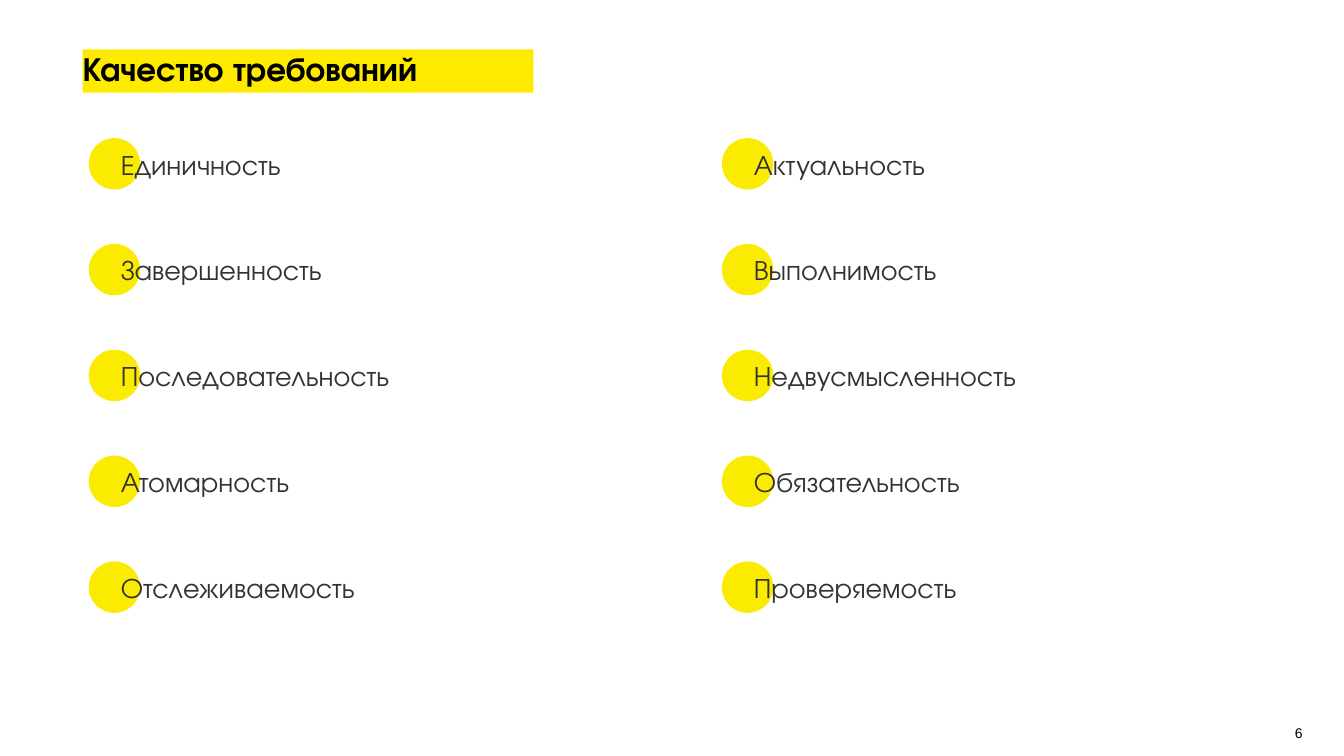
from dataclasses import dataclass

from pptx import Presentation
from pptx.dml.color import RGBColor
from pptx.enum.shapes import MSO_SHAPE
from pptx.enum.text import PP_ALIGN
from pptx.util import Inches, Pt


@dataclass(frozen=True)
class Theme:
    heading_font: str = "TeX Gyre Adventor"
    number_font: str = "Arial"
    title_size: int = 24
    quality_size: int = 20
    number_size: int = 10
    band: str = "FFEB00"
    dot: str = "FAEB00"
    title_color: str = "000000"
    quality_color: str = "333333"


@dataclass(frozen=True)
class Grid:
    left: float = 0.88
    top: float = 1.37
    column_step: float = 6.28
    row_step: float = 1.05

    def cell(self, column: int, row: int) -> tuple[float, float]:
        return self.left + column * self.column_step, self.top + row * self.row_step


@dataclass(frozen=True)
class Area:
    left: float
    top: float
    width: float
    height: float

    def lengths(self) -> tuple:
        return tuple(Inches(value) for value in (self.left, self.top, self.width, self.height))


@dataclass(frozen=True)
class Quality:
    name: str
    column: int
    row: int


THEME = Theme()
GRID = Grid()
DOT_SIZE = 0.51
COLUMNS = (
    ("Единичность", "Завершенность", "Последовательность", "Атомарность", "Отслеживаемость"),
    ("Актуальность", "Выполнимость", "Недвусмысленность", "Обязательность", "Проверяемость"),
)
QUALITIES = [
    Quality(name, column, row)
    for column, names in enumerate(COLUMNS)
    for row, name in enumerate(names)
]


def add_filled(page, kind: MSO_SHAPE, area: Area, color: str) -> None:
    shape = page.shapes.add_shape(kind, *area.lengths())
    shape.shadow.inherit = False
    shape.fill.solid()
    shape.fill.fore_color.rgb = RGBColor.from_string(color)
    shape.line.fill.background()


def add_text(page, text: str, area: Area, *, size: int, color: str,
             font: str = THEME.heading_font, bold: bool = False, inset: bool = False,
             align: PP_ALIGN = PP_ALIGN.LEFT, spacing: float = 1.0) -> None:
    box = page.shapes.add_textbox(*area.lengths())
    frame = box.text_frame
    frame.word_wrap = True
    if not inset:
        frame.margin_left = frame.margin_right = 0
        frame.margin_top = frame.margin_bottom = 0
    para = frame.paragraphs[0]
    para.alignment = align
    para.line_spacing = spacing
    span = para.add_run()
    span.text = text
    span.font.name = font
    span.font.size = Pt(size)
    span.font.bold = bold
    span.font.color.rgb = RGBColor.from_string(color)


def add_quality(page, quality: Quality) -> None:
    left, top = GRID.cell(quality.column, quality.row)
    add_filled(page, MSO_SHAPE.OVAL, Area(left, top, DOT_SIZE, DOT_SIZE), THEME.dot)
    add_text(page, quality.name, Area(left + 0.22, top + 0.04, 4.54, 0.44),
             size=THEME.quality_size, color=THEME.quality_color, inset=True)


def main() -> None:
    deck = Presentation()
    deck.slide_width = Inches(13.33)
    deck.slide_height = Inches(7.5)
    page = deck.slides.add_slide(deck.slide_layouts[6])
    add_filled(page, MSO_SHAPE.RECTANGLE, Area(0.82, 0.49, 4.47, 0.43), THEME.band)
    add_text(page, "Качество требований", Area(0.82, 0.52, 6.35, 0.83),
             size=THEME.title_size, color=THEME.title_color, bold=True, spacing=0.9)
    for quality in QUALITIES:
        add_quality(page, quality)
    add_text(page, "6", Area(12.08, 7.19, 0.84, 0.17), size=THEME.number_size,
             color=THEME.title_color, font=THEME.number_font, align=PP_ALIGN.RIGHT)
    deck.save("out.pptx")


if __name__ == "__main__":
    main()
